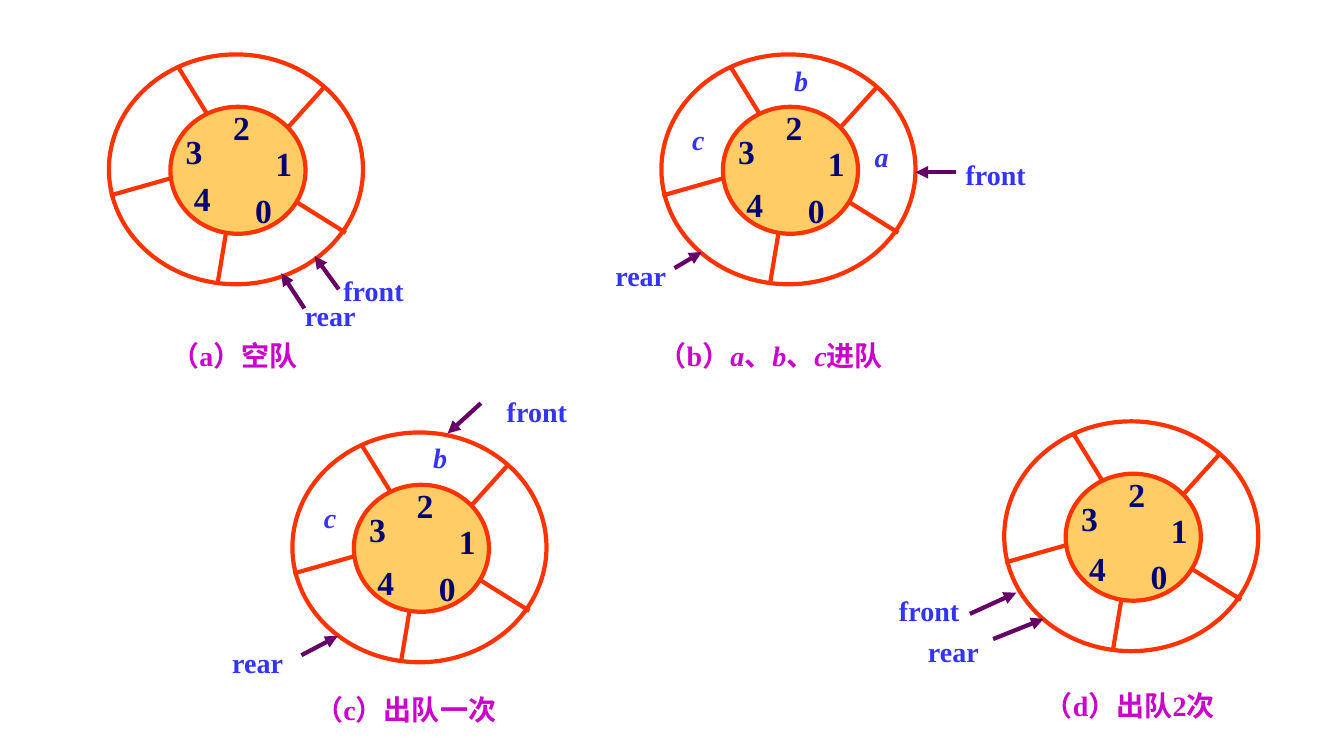
from dataclasses import dataclass

from lxml.etree import SubElement
from pptx import Presentation
from pptx.dml.color import RGBColor
from pptx.enum.shapes import MSO_CONNECTOR, MSO_SHAPE
from pptx.enum.text import MSO_AUTO_SIZE, PP_ALIGN
from pptx.oxml.ns import qn
from pptx.util import Pt

PX = 9144


@dataclass(frozen=True)
class Theme:
    font: str = "Times New Roman"
    ring: str = "FF3300"
    hub: str = "FFCC66"
    digit: str = "000074"
    label: str = "3333FF"
    arrow: str = "660066"
    caption: str = "CC00CC"
    digit_size: int = 24
    text_size: int = 20
    stroke: int = 3


THEME = Theme()


@dataclass(frozen=True)
class Queue:
    box: tuple
    four_top: int
    items: dict
    pointers: dict
    caption: tuple
    caption_box: tuple


RING_SIZE = (252, 228)
HUB = (61, 52, 134, 126)
SPOKES = (
    (187, 147, 235, 177),
    (178, 72, 214, 32),
    (69, 13, 98, 60),
    (116, 178, 108, 226),
    (1, 140, 61, 123),
)
DIGITS = {"0": (138, 134), "1": (158, 88), "2": (116, 52), "3": (69, 76)}
FOUR_LEFT = 77

QUEUES = (
    Queue(
        box=(108, 54, *RING_SIZE),
        four_top=123,
        items={},
        pointers={
            "front": ((223, 217), (228, 233, 204, 200)),
            "rear": ((180, 242), (194, 252, 171, 217)),
        },
        caption=("（a）空队",),
        caption_box=(30, 277, 189, 44),
    ),
    Queue(
        box=(656, 54, *RING_SIZE),
        four_top=128,
        items={"a": (203, 84), "b": (123, 9), "c": (21, 68)},
        pointers={
            "front": ((292, 102), (292, 117, 252, 117)),
            "rear": ((-60, 202), (13, 212, 40, 196)),
        },
        caption=("（b）", "a", "、", "b", "、", "c", "进队"),
        caption_box=(-65, 277, 347, 44),
    ),
    Queue(
        box=(290, 429, *RING_SIZE),
        four_top=128,
        items={"b": (131, 8), "c": (22, 68)},
        pointers={
            "front": ((203, -38), (187, -29, 154, 1)),
            "rear": ((-74, 211), (9, 221, 45, 202)),
        },
        caption=("（c）出队一次",),
        caption_box=(-61, 253, 347, 44),
    ),
    Queue(
        box=(996, 418, *RING_SIZE),
        four_top=126,
        items={},
        pointers={
            "front": ((-114, 171), (-34, 191, 12, 170)),
            "rear": ((-90, 211), (-11, 216, 39, 196)),
        },
        caption=("（d）出队2次",),
        caption_box=(-49, 260, 347, 44),
    ),
)


def emu(*lengths):
    return [length * PX for length in lengths]


def add_ellipse(shapes, box, fill=None):
    ellipse = shapes.add_shape(MSO_SHAPE.OVAL, *emu(*box))
    ellipse.shadow.inherit = False
    if fill:
        ellipse.fill.solid()
        ellipse.fill.fore_color.rgb = RGBColor.from_string(fill)
    else:
        ellipse.fill.background()
    ellipse.line.color.rgb = RGBColor.from_string(THEME.ring)
    ellipse.line.width = Pt(THEME.stroke)


def add_line(shapes, origin, ends, color, arrowhead=False):
    x, y = origin
    x1, y1, x2, y2 = ends
    line = shapes.add_connector(
        MSO_CONNECTOR.STRAIGHT, *emu(x + x1, y + y1, x + x2, y + y2)
    )
    line.line.color.rgb = RGBColor.from_string(color)
    line.line.width = Pt(THEME.stroke)
    properties = line._element.spPr
    if arrowhead:
        SubElement(properties.find(qn("a:ln")), qn("a:tailEnd"), type="triangle")
    SubElement(properties, qn("a:effectLst"))


def add_text(shapes, origin, box, runs, size, color, inset=True):
    x, y = origin
    left, top, width, height = box
    words = shapes.add_textbox(*emu(x + left, y + top, width, height))
    frame = words.text_frame
    frame.word_wrap = True
    frame.auto_size = MSO_AUTO_SIZE.SHAPE_TO_FIT_TEXT
    if not inset:
        frame.margin_left = frame.margin_right = 0
        frame.margin_top = frame.margin_bottom = 0
    paragraph = frame.paragraphs[0]
    paragraph.alignment = PP_ALIGN.CENTER
    paragraph.font.name = THEME.font
    paragraph.font.size = Pt(size)
    paragraph.font.bold = True
    paragraph.font.color.rgb = RGBColor.from_string(color)
    for piece in runs:
        run = paragraph.add_run()
        run.text = piece
        if piece in ("a", "b", "c"):
            run.font.italic = True


def draw_ring(shapes, box, four_top):
    left, top, width, height = box
    origin = (left, top)
    hub_left, hub_top, hub_width, hub_height = HUB
    add_ellipse(
        shapes, (left + hub_left, top + hub_top, hub_width, hub_height), THEME.hub
    )
    add_ellipse(shapes, (left, top, width, height))
    for spoke in SPOKES:
        add_line(shapes, origin, spoke, THEME.ring)
    slots = {**DIGITS, "4": (FOUR_LEFT, four_top)}
    for digit, place in slots.items():
        add_text(shapes, origin, (*place, 31, 40), (digit,),
                 THEME.digit_size, THEME.digit, inset=False)


def draw_queue(slide, queue):
    shapes = slide.shapes.add_group_shape().shapes
    origin = queue.box[:2]
    draw_ring(shapes, queue.box, queue.four_top)
    for item, place in queue.items.items():
        add_text(shapes, origin, (*place, 31, 33), (item,),
                 THEME.text_size, THEME.label, inset=False)
    for pointer, (place, arrow) in queue.pointers.items():
        add_line(shapes, origin, arrow, THEME.arrow, arrowhead=True)
        add_text(shapes, origin, (*place, 79, 33), (pointer,),
                 THEME.text_size, THEME.label, inset=False)
    add_text(shapes, origin, queue.caption_box, queue.caption,
             THEME.text_size, THEME.caption)


def main():
    presentation = Presentation()
    presentation.slide_width, presentation.slide_height = emu(1333, 750)
    slide = presentation.slides.add_slide(presentation.slide_layouts[6])
    for queue in QUEUES:
        draw_queue(slide, queue)
    presentation.save("out.pptx")


if __name__ == "__main__":
    main()
